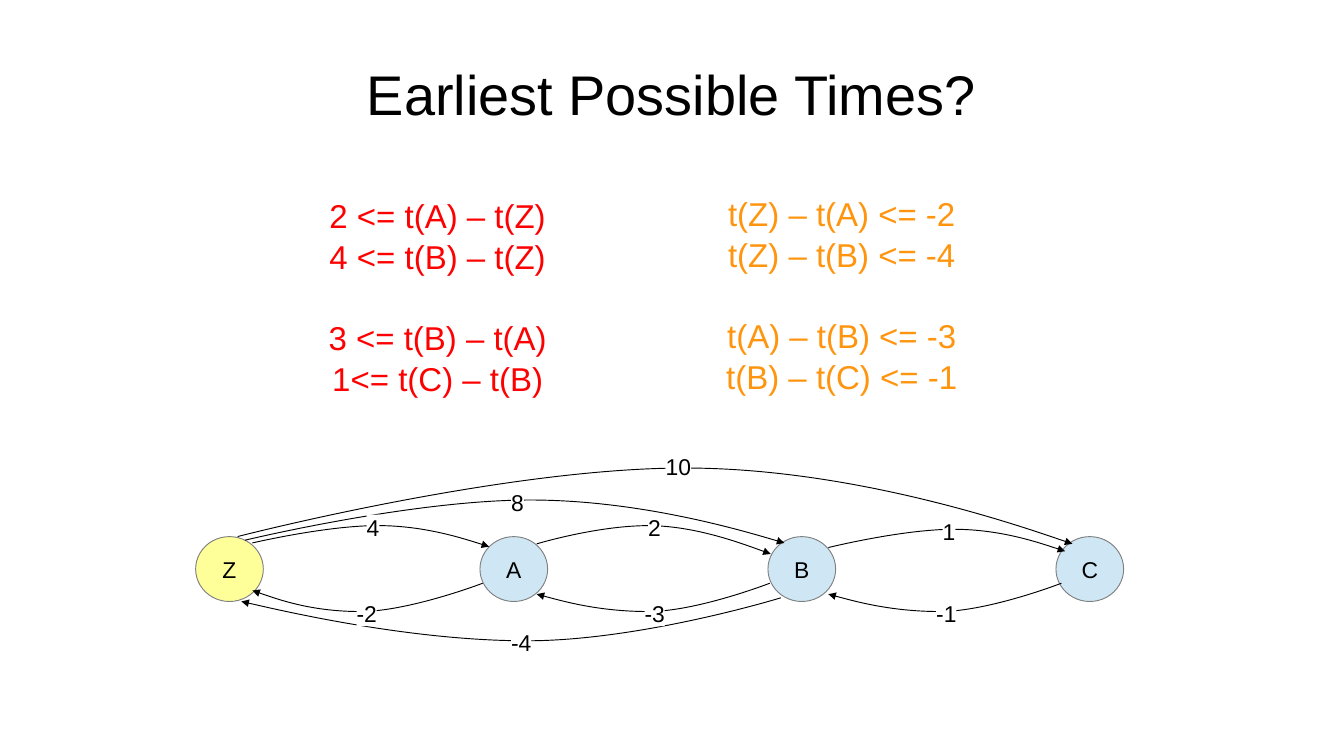
from lxml.etree import SubElement
from pptx import Presentation
from pptx.dml.color import RGBColor
from pptx.enum.shapes import MSO_SHAPE
from pptx.enum.text import MSO_ANCHOR, PP_ALIGN
from pptx.oxml.ns import qn
from pptx.util import Pt

PX = 9144  # EMU per px, 100 px to the inch
FONT = "Arial"

# text, centre x, fill
NODES = [
    ("Z", 251, "FFFF99"),
    ("A", 562, "CFE7F5"),
    ("B", 877, "CFE7F5"),
    ("C", 1192, "CFE7F5"),
]

# start, end, x of the three points on the crest, y of the crest
ARCS = [
    ((276, 594), (535, 598), (357, 413, 466), 575),
    ((260, 587), (1173, 595), (550, 749, 939), 512),
    ((268, 591), (858, 594), (450, 580, 705), 547),
    ((587, 595), (843, 606), (653, 709, 762), 575),
    ((906, 599), (1165, 603), (987, 1043, 1096), 579),
    ((842, 638), (587, 650), (762, 709, 653), 669),
    ((1161, 638), (906, 650), (1081, 1028, 972), 669),
    ((528, 638), (276, 646), (447, 394, 338), 669),
    ((854, 654), (264, 658), (701, 576, 446), 701),
]

# text, left, top, width
WEIGHTS = [
    ("4", 401, 563, 14),
    ("10", 728, 496, 28),
    ("8", 559, 535, 14),
    ("2", 709, 563, 14),
    ("1", 1031, 567, 14),
    ("-3", 705, 657, 22),
    ("-1", 1024, 657, 22),
    ("-2", 390, 657, 22),
    ("-4", 559, 689, 22),
]

LOWER_BOUNDS = [
    "2 <= t(A) – t(Z)",
    "4 <= t(B) – t(Z)",
    "3 <= t(B) – t(A)",
    "1<= t(C) – t(B)",
]
DIFFERENCES = [
    "t(Z) – t(A) <= -2",
    "t(Z) – t(B) <= -4",
    "t(A) – t(B) <= -3",
    "t(B) – t(C) <= -1",
]


def rgb(color):
    return RGBColor.from_string(color)


def box(*lengths):
    return [n * PX for n in lengths]


def write(sp, lines, size=18, color="000000", align=PP_ALIGN.CENTER,
          wrap=False, spacing=None, gaps=None):
    """Fill a shape with paragraphs; gaps maps a line index to its space before."""
    tf = sp.text_frame
    tf.margin_left = tf.margin_right = tf.margin_top = tf.margin_bottom = 0
    tf.vertical_anchor = MSO_ANCHOR.MIDDLE
    tf.word_wrap = wrap
    for i, line in enumerate(lines):
        p = tf.paragraphs[0] if i == 0 else tf.add_paragraph()
        p.alignment = align
        if spacing:
            p.line_spacing = spacing
        if gaps and i in gaps:
            p.space_before = Pt(gaps[i])
        r = p.add_run()
        r.text = line
        r.font.name = FONT
        r.font.size = Pt(size)
        r.font.color.rgb = rgb(color)


def add_title(s, text):
    sp = s.shapes.title
    sp.left, sp.top, sp.width, sp.height = box(73, 33, 1323, 138)
    write(sp, [text], size=44, wrap=True)


def add_constraints(s, lines, left, top, color):
    sp = s.shapes.add_textbox(*box(left, top, 336, 301))
    write(sp, lines, size=26, color=color, spacing=1.04, gaps={2: 31})


def add_filled(s, kind, bounds, fill):
    sp = s.shapes.add_shape(kind, *box(*bounds))
    sp.shadow.inherit = False
    sp.fill.solid()
    sp.fill.fore_color.rgb = rgb(fill)
    sp.line.fill.background()
    return sp


def add_node(s, text, center, fill):
    sp = add_filled(s, MSO_SHAPE.OVAL, (center - 37, 587, 74, 71), fill)
    sp.line.color.rgb = rgb("808080")
    sp.line.width = 0
    write(sp, [text])


def add_weight(s, text, left, top, width):
    sp = add_filled(s, MSO_SHAPE.RECTANGLE, (left, top, width, 28), "FFFFFF")
    write(sp, [text], align=PP_ALIGN.LEFT)


def bend(sp):
    """Turn each three line segments of a freeform into one Bézier curve."""
    segments = sp._element.xpath(".//a:lnTo")
    for first in segments[::3]:
        i = segments.index(first)
        first.tag = qn("a:cubicBezTo")
        for segment in segments[i + 1:i + 3]:
            first.append(segment[0])
            segment.getparent().remove(segment)


def add_arc(s, start, end, crest_xs, crest_y):
    builder = s.shapes.build_freeform(*start, scale=PX)
    crest = [(x, crest_y) for x in crest_xs]
    builder.add_line_segments([start, *crest, end, end], close=False)
    sp = builder.convert_to_shape()
    bend(sp)
    sp.shadow.inherit = False
    sp.fill.background()
    sp.line.color.rgb = rgb("000000")
    sp.line.width = 0
    ln = sp._element.xpath("p:spPr/a:ln")[0]
    SubElement(ln, qn("a:tailEnd"), type="triangle")


def main():
    prs = Presentation()
    prs.slide_width, prs.slide_height = box(1470, 827)
    s = prs.slides.add_slide(prs.slide_layouts[5])
    add_title(s, "Earliest Possible Times?")
    add_constraints(s, LOWER_BOUNDS, 311, 173, "FF0000")
    add_constraints(s, DIFFERENCES, 753, 171, "FF950E")
    for node in NODES:
        add_node(s, *node)
    for arc in ARCS:
        add_arc(s, *arc)
    for weight in WEIGHTS:
        add_weight(s, *weight)
    prs.save("out.pptx")


if __name__ == "__main__":
    main()
